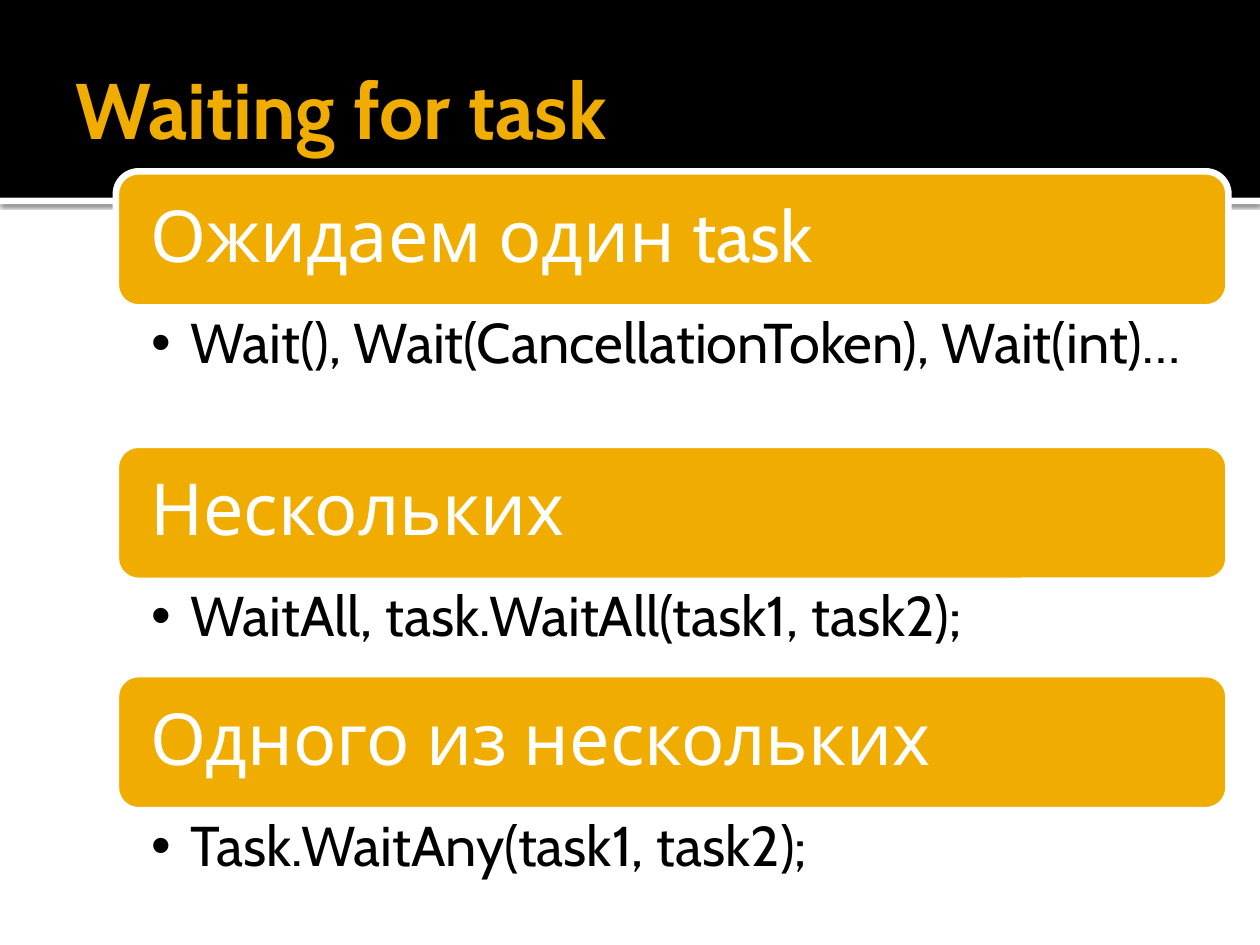
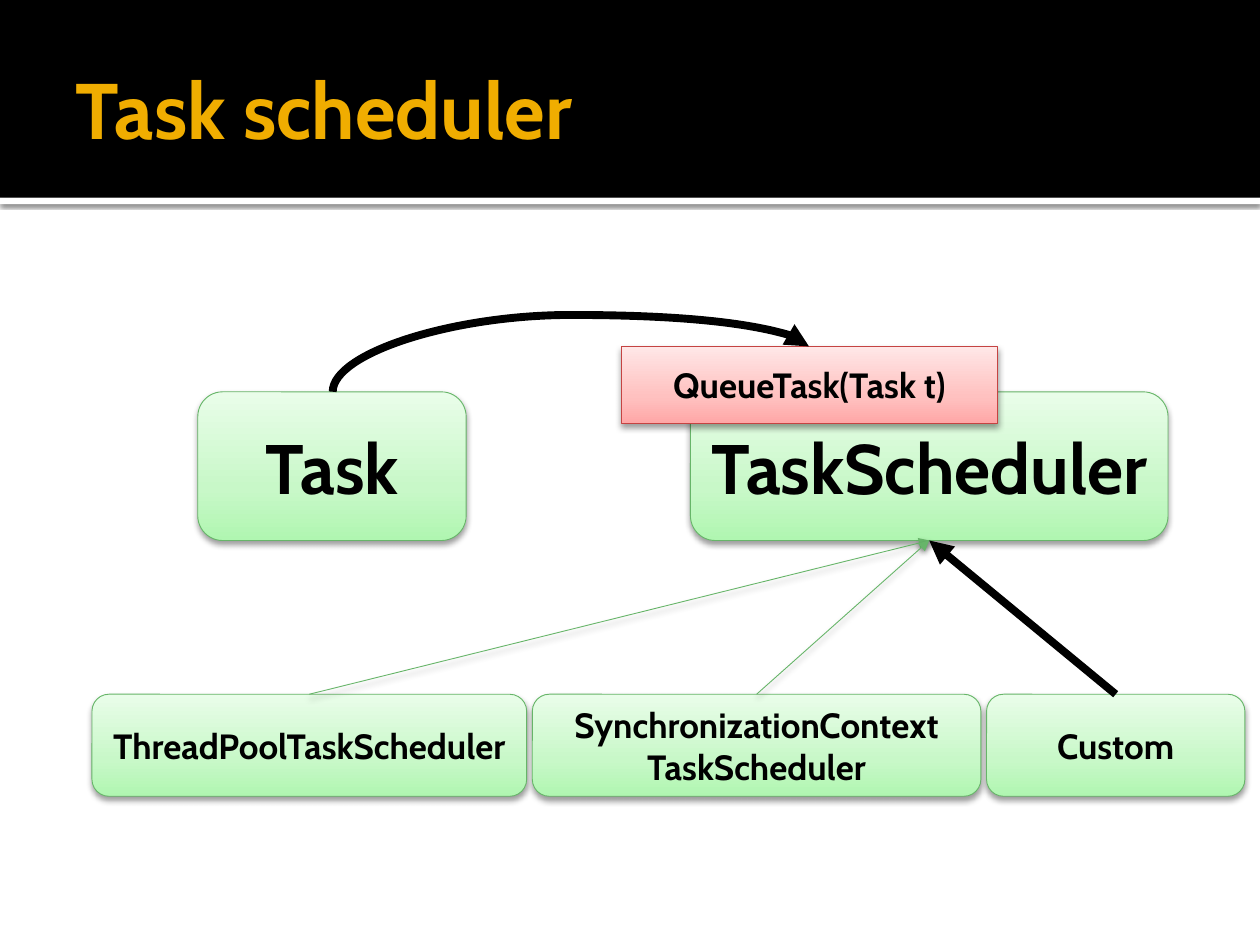
from lxml import etree
from pptx import Presentation
from pptx import util as u
from pptx.dml.color import RGBColor
from pptx.enum import shapes, text
from pptx.oxml.ns import qn

# The slide is a grid of 100 columns by 75 rows
COLS, ROWS = 100, 75
CELL = u.Inches(10) // COLS

FONT = "Cabin"
BLACK, WHITE, GOLD = "000000", "FFFFFF", "F0AD00"
GREEN = ("67B569", ("B0F6B1", "C8F8C8", "E9FDE9"))
RED = ("C54342", ("FFA7A7", "FFC1C0", "FFE7E7"))
STOPS = (0, 35, 100)
SOFT = (38, 3.5, 2)      # shadow: opacity %, blur pt, distance pt
THIN = (60, 2.5, 0.8)

RECT = shapes.MSO_SHAPE.RECTANGLE
ROUND = shapes.MSO_SHAPE.ROUNDED_RECTANGLE
MID = text.MSO_ANCHOR.MIDDLE
CENTER = text.PP_ALIGN.CENTER


def grid(*cells):
    return [round(n * CELL) for n in cells]


def color(code):
    return RGBColor.from_string(code)


def node(parent, tag, **attrs):
    """Append a drawing element with the given attributes."""
    child = etree.SubElement(parent, qn("a:" + tag))
    for key, val in attrs.items():
        child.set(key, str(val))
    return child


def tint(parent, code, **attrs):
    clr = node(parent, "srgbClr", val=code)
    for key, val in attrs.items():
        node(clr, key, val=val)


def shade(props, look):
    """Give shape properties a downward shadow, or none."""
    for old in props.findall(qn("a:effectLst")):
        props.remove(old)
    effects = node(props, "effectLst")
    if look:
        alpha, blur, dist = look
        drop = node(effects, "outerShdw", blurRad=u.Pt(blur), dist=u.Pt(dist),
                    dir=90 * 60000, algn="ctr", rotWithShape=0)
        tint(drop, BLACK, alpha=alpha * 1000)


def blend(fill, codes):
    """Fill with a gradient that rises from the bottom."""
    fill.gradient()
    fill.gradient_angle = 90
    stops = fill._xPr.find(qn("a:gradFill")).find(qn("a:gsLst"))
    for old in list(stops):
        stops.remove(old)
    for pos, code in zip(STOPS, codes):
        tint(node(stops, "gs", pos=pos * 1000), code)


def write(shape, lines, size, code=BLACK, bold=False, align=None,
          anchor=MID, inset=(1, .5, 1, .5), space=None):
    """Write one paragraph for each line of text."""
    frame = shape.text_frame
    frame.word_wrap = True
    frame.vertical_anchor = anchor
    (frame.margin_left, frame.margin_top,
     frame.margin_right, frame.margin_bottom) = grid(*inset)
    for i, line in enumerate(lines):
        para = frame.add_paragraph() if i else frame.paragraphs[0]
        para.alignment = align or text.PP_ALIGN.LEFT
        para.line_spacing = space
        run = para.add_run()
        run.text = line
        run.font.name = FONT
        run.font.size = u.Pt(size)
        run.font.bold = bold
        run.font.color.rgb = color(code)
    return frame


def block(slide, kind, box, fill, edge=None, width=0.5, shadow=None):
    """Draw a preset shape; fill is one colour or a tuple of stops."""
    shape = slide.shapes.add_shape(kind, *grid(*box))
    if isinstance(fill, tuple):
        blend(shape.fill, fill)
    else:
        shape.fill.solid()
        shape.fill.fore_color.rgb = color(fill)
    if edge:
        shape.line.color.rgb = color(edge)
        shape.line.width = u.Pt(width)
    else:
        shape.line.fill.background()
    shade(shape.element.spPr, shadow)
    return shape


def label(slide, kind, box, look, size, *lines):
    """Draw a shaded box with bold centred text."""
    edge, fill = look
    shape = block(slide, kind, box, fill, edge, shadow=SOFT)
    write(shape, lines, size, bold=True, align=CENTER)
    return shape


def style(link, code, width, shadow=None):
    """Colour a connector and put an arrowhead at its end."""
    link.line.color.rgb = color(code)
    link.line.width = u.Pt(width)
    node(link.line._get_or_add_ln(), "tailEnd", type="triangle")
    shade(link.element.spPr, shadow)


def arrow(slide, start, end, *look):
    """Join the top of one box to the bottom of another."""
    link = slide.shapes.add_connector(shapes.MSO_CONNECTOR.STRAIGHT, 0, 0, 0, 0)
    link.begin_connect(start, 0)
    link.end_connect(end, 2)
    style(link, *look)


def arc(slide, start, end, rise, *look):
    """Curve from a lower left point up and over to a higher right one."""
    (x1, y1), (x2, y2) = start, end
    midx, midy = (x1 + x2) / 2, (y1 + y2) / 2
    high, wide = (y1 - y2) / 2, (x2 - x1) / 2
    link = slide.shapes.add_connector(
        shapes.MSO_CONNECTOR.CURVE,
        *grid(midx + high, midy + wide, midx - high, midy - wide))
    link.rotation = 90
    geom = link.element.spPr.find(qn("a:prstGeom"))
    for old in list(geom):
        geom.remove(old)
    bend = round(rise / (y1 - y2) * 100000)
    node(node(geom, "avLst"), "gd", name="adj1", fmla=f"val {bend}")
    style(link, *look)


def page(deck, title):
    """Add a slide with the black band and its title."""
    slide = deck.slides.add_slide(deck.slide_layouts[6])
    block(slide, RECT, (0, 15.7, COLS, .5), WHITE, shadow=THIN)
    block(slide, RECT, (0, 0, COLS, 15.7), BLACK)
    head = slide.shapes.add_textbox(*grid(5, 1.7, 90, 13.7))
    write(head, [title], 45, GOLD, bold=True, inset=(1, .5, .5, .5))
    return slide


def topic(slide, top, depth, head, item):
    """Draw a gold bar with a bullet below; return the next top."""
    left, wide, tall = 9.2, 88.3, 10.8
    bar = block(slide, ROUND, (left, top, wide, tall), GOLD, WHITE, 3.78)
    write(bar, [head], 41, WHITE, inset=(2.2, 1.7, 2.2, 1.7), space=.9)
    note = slide.shapes.add_textbox(*grid(left, top + tall, wide, depth))
    frame = write(note, [item], 32, anchor=text.MSO_ANCHOR.TOP,
                  inset=(2.8, .6, 3.2, .6), space=.9)
    props = frame.paragraphs[0]._p.get_or_add_pPr()
    props.set("marL", str(u.Inches(.31)))
    props.set("indent", str(-u.Inches(.31)))
    node(props, "buFont", typeface="Arial")
    node(props, "buChar", char="•")
    return top + tall + depth


def waits(deck):
    slide = page(deck, "Waiting for task")
    top = 13.6
    for depth, head, item in (
            (10.9, "Ожидаем один task",
             "Wait(), Wait(CancellationToken), Wait(int)…"),
            (7.4, "Нескольких", "WaitAll, task.WaitAll(task1, task2);"),
            (7.4, "Одного из нескольких", "Task.WaitAny(task1, task2);")):
        top = topic(slide, top, depth, head, item)


def plans(deck):
    slide = page(deck, "Task scheduler")
    # Main pair
    label(slide, ROUND, (15.7, 31.1, 21.3, 11.8), GREEN, 40, "Task")
    base = label(slide, ROUND, (54.8, 31.1, 37.9, 11.8), GREEN, 40,
                 "TaskScheduler")
    # Kinds of scheduler, each pointing at the base
    fine, bold = (GREEN[0], .5, SOFT), (BLACK, 4.5)
    left, gap = 7.3, .45
    for wide, look, lines in (
            (34.5, fine, ["ThreadPoolTaskScheduler"]),
            (35.6, fine, ["SynchronizationContext", "TaskScheduler"]),
            (20.5, bold, ["Custom"])):
        kind = label(slide, ROUND, (left, 55.1, wide, 8.1), GREEN, 20, *lines)
        arrow(slide, kind, base, *look)
        left += wide + gap
    # Queue call
    label(slide, RECT, (49.3, 27.5, 29.9, 6.1), RED, 20, "QueueTask(Task t)")
    arc(slide, (26.4, 31.1), (64.2, 27.5), 6.1, *bold)


def main():
    deck = Presentation()
    deck.slide_width, deck.slide_height = COLS * CELL, ROWS * CELL
    waits(deck)
    plans(deck)
    deck.save("out.pptx")


if __name__ == "__main__":
    main()
